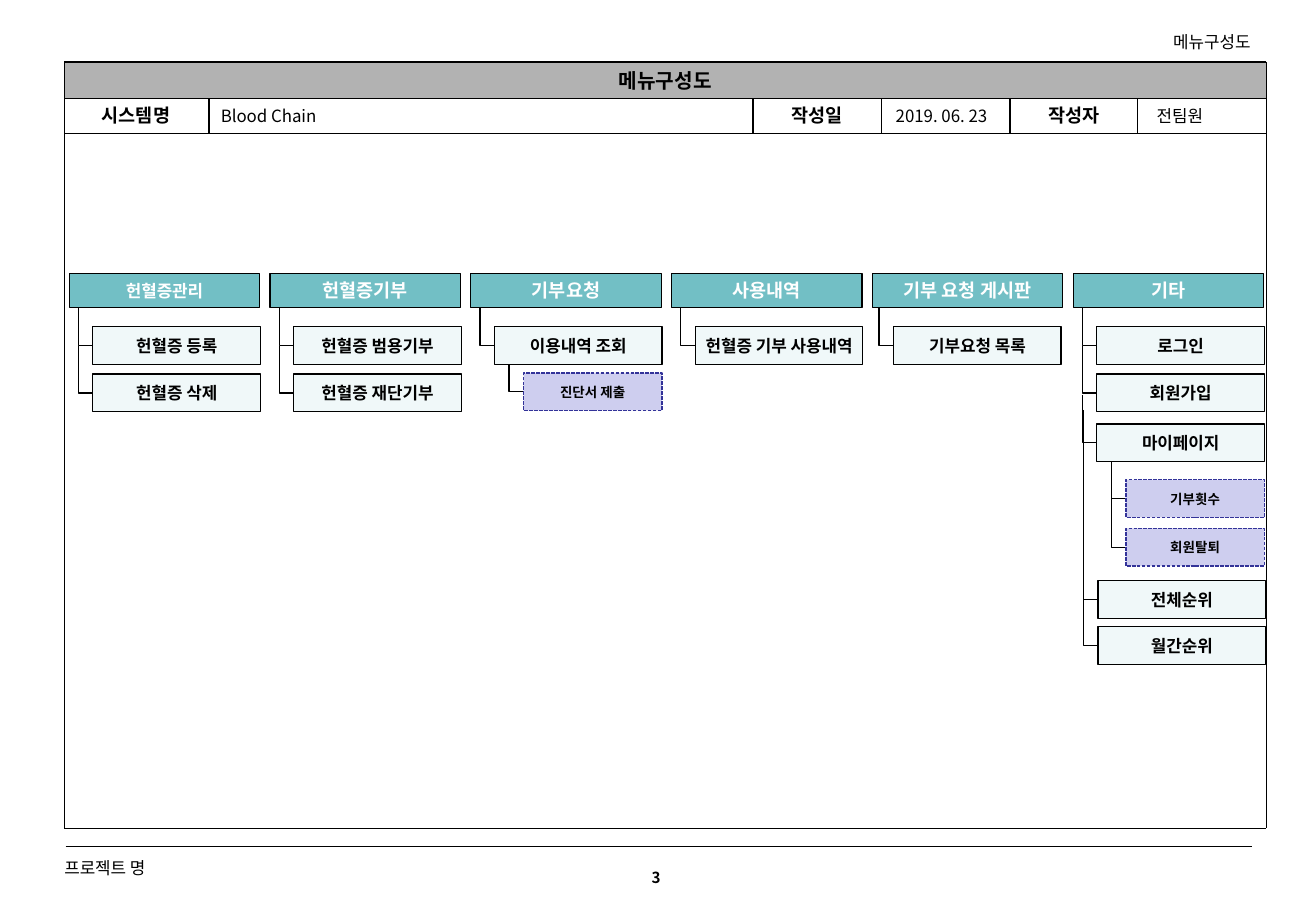
import dataclasses

import pptx
import pptx.dml.color
import pptx.enum.dml
import pptx.enum.shapes
import pptx.enum.text
import pptx.oxml.ns
import pptx.presentation
import pptx.shapes.autoshape
import pptx.shapes.connector
import pptx.slide
import pptx.util
from lxml import etree

Inches = pptx.util.Inches
RGBColor = pptx.dml.color.RGBColor
Align = pptx.enum.text.PP_ALIGN
Connector = pptx.enum.shapes.MSO_CONNECTOR

FONT = "Noto Sans CJK KR"
BLACK = RGBColor(0x00, 0x00, 0x00)
WHITE = RGBColor(0xFF, 0xFF, 0xFF)
GRAY = RGBColor(0xB2, 0xB2, 0xB2)
TEAL = RGBColor(0x72, 0xBF, 0xC5)
PALE_TEAL = RGBColor(0xF0, 0xF8, 0xF9)
LAVENDER = RGBColor(0xCE, 0xCE, 0xEF)
NAVY = RGBColor(0x33, 0x33, 0x99)

FRAME_LEFT, FRAME_RIGHT = 0.53, 10.43
FRAME_TOP, TITLE_BOTTOM, INFO_BOTTOM, FRAME_BOTTOM = 0.51, 0.81, 1.1, 6.82
COLUMN_LEFT, COLUMN_PITCH = 0.57, 1.654
HEADER_TOP, HEADER_WIDTH, HEADER_HEIGHT = 2.25, 1.57, 0.28
ITEM_INDENT, ITEM_WIDTH = 0.195, 1.38
DETAIL_INDENT, DETAIL_WIDTH = 0.435, 1.14
BOX_HEIGHT, ELBOW_WIDTH = 0.31, 0.12


@dataclasses.dataclass(frozen=True)
class MenuItem:
    text: str
    top: float
    drop: float = 0.39
    detail: bool = False
    shift: float = 0


@dataclasses.dataclass(frozen=True)
class MenuColumn:
    title: str
    items: list[MenuItem]
    title_size: float = 11


@dataclasses.dataclass(frozen=True)
class Label:
    text: str
    left: float
    top: float
    width: float
    height: float
    size: float = 10
    bold: bool = False
    align: Align = Align.LEFT
    inset: float = 0.1


COLUMNS = [
    MenuColumn("헌혈증관리", [MenuItem("헌혈증 등록", 2.69), MenuItem("헌혈증 삭제", 3.08)], 10),
    MenuColumn("헌혈증기부", [MenuItem("헌혈증 범용기부", 2.69), MenuItem("헌혈증 재단기부", 3.08)]),
    MenuColumn("기부요청", [
        MenuItem("진단서 제출", 3.07, drop=0.53, detail=True),
        MenuItem("이용내역 조회", 2.69),
    ]),
    MenuColumn("사용내역", [MenuItem("헌혈증 기부 사용내역", 2.69)]),
    MenuColumn("기부 요청 게시판", [MenuItem("기부요청 목록", 2.69, shift=-0.02)]),
    MenuColumn("기타", [
        MenuItem("기부횟수", 3.95, drop=0.61, detail=True),
        MenuItem("회원탈퇴", 4.35, drop=0.61, detail=True),
        MenuItem("로그인", 2.69),
        MenuItem("회원가입", 3.08),
        MenuItem("마이페이지", 3.49),
        MenuItem("전체순위", 4.78, drop=1.56, shift=0.01),
        MenuItem("월간순위", 5.16, shift=0.01),
    ]),
]

LABELS = [
    Label("시스템명", 0.53, 0.81, 1.18, 0.28, 11, True, Align.CENTER),
    Label("작성일", 6.2, 0.81, 1.06, 0.28, 11, True, Align.CENTER),
    Label("작성자", 8.32, 0.81, 1.06, 0.28, 11, True, Align.CENTER),
    Label("Blood Chain", 1.72, 0.82, 2.09, 0.27),
    Label("2019. 06. 23", 7.28, 0.82, 1.46, 0.27),
    Label("전팀원", 9.43, 0.82, 0.58, 0.27),
    Label("메뉴구성도", 7.11, 0.26, 3.19, 0.17, align=Align.RIGHT, inset=0),
    Label("프로젝트 명", 0.53, 7.06, 3.55, 0.17, inset=0),
    Label("3", 5.13, 7.1, 0.55, 0.25, 9, True, Align.CENTER),
]


def write_text(shape: pptx.shapes.autoshape.Shape, text: str, *, size: float = 10,
               bold: bool = False, color: RGBColor = BLACK, align: Align = Align.CENTER,
               inset: float = 0.1, wrap: bool = False) -> None:
    frame = shape.text_frame
    frame.word_wrap = wrap
    frame.vertical_anchor = pptx.enum.text.MSO_ANCHOR.MIDDLE
    frame.margin_left = frame.margin_right = Inches(inset)
    frame.margin_top = frame.margin_bottom = Inches(0)
    paragraph = frame.paragraphs[0]
    paragraph.alignment = align
    run = paragraph.add_run()
    run.text = text
    run.font.name = FONT
    run.font.size = pptx.util.Pt(size)
    run.font.bold = bold
    run.font.color.rgb = color
    east_asian = etree.SubElement(run.font._element, pptx.oxml.ns.qn("a:ea"))
    east_asian.set("typeface", FONT)


def add_box(slide: pptx.slide.Slide, left: float, top: float, width: float, height: float,
            fill: RGBColor, line: RGBColor | None = BLACK,
            dashed: bool = False) -> pptx.shapes.autoshape.Shape:
    shape = slide.shapes.add_shape(pptx.enum.shapes.MSO_SHAPE.RECTANGLE, Inches(left),
                                   Inches(top), Inches(width), Inches(height))
    shape.shadow.inherit = False
    shape.fill.solid()
    shape.fill.fore_color.rgb = fill
    if line is None:
        shape.line.fill.background()
    else:
        shape.line.color.rgb = line
        shape.line.width = pptx.util.Pt(0.75)
    if dashed:
        shape.line.dash_style = pptx.enum.dml.MSO_LINE.SQUARE_DOT
    return shape


def add_line(slide: pptx.slide.Slide, x1: float, y1: float, x2: float, y2: float,
             width: float = 0.75,
             kind: Connector = Connector.STRAIGHT) -> pptx.shapes.connector.Connector:
    line = slide.shapes.add_connector(kind, Inches(x1), Inches(y1), Inches(x2), Inches(y2))
    line.line.color.rgb = BLACK
    line.line.width = pptx.util.Pt(width)
    etree.SubElement(line._element.spPr, pptx.oxml.ns.qn("a:effectLst"))
    return line


def add_elbow(slide: pptx.slide.Slide, end_x: float, end_y: float, drop: float) -> None:
    center_x, center_y = end_x - ELBOW_WIDTH / 2, end_y - drop / 2
    elbow = add_line(slide, center_x + drop / 2, center_y - ELBOW_WIDTH / 2,
                     center_x - drop / 2, center_y + ELBOW_WIDTH / 2, kind=Connector.ELBOW)
    properties = elbow._element.spPr
    properties.find(pptx.oxml.ns.qn("a:xfrm")).set("rot", str(270 * 60000))
    properties.find(pptx.oxml.ns.qn("a:prstGeom")).set("prst", "bentConnector2")


def add_column(slide: pptx.slide.Slide, column: MenuColumn, left: float) -> None:
    for item in column.items:
        indent = DETAIL_INDENT if item.detail else ITEM_INDENT
        item_left = left + indent + item.shift
        add_elbow(slide, item_left, item.top + BOX_HEIGHT / 2, item.drop)
        if item.detail:
            box = add_box(slide, item_left, item.top, DETAIL_WIDTH, BOX_HEIGHT,
                          LAVENDER, NAVY, dashed=True)
        else:
            box = add_box(slide, item_left, item.top, ITEM_WIDTH, BOX_HEIGHT, PALE_TEAL)
        write_text(box, item.text, size=8 if item.detail else 10, bold=True)
    header = add_box(slide, left, HEADER_TOP, HEADER_WIDTH, HEADER_HEIGHT, TEAL)
    write_text(header, column.title, size=column.title_size, bold=True, color=WHITE)


def add_frame(slide: pptx.slide.Slide) -> None:
    title = add_box(slide, FRAME_LEFT, FRAME_TOP, FRAME_RIGHT - FRAME_LEFT,
                    TITLE_BOTTOM - FRAME_TOP, GRAY, None)
    write_text(title, "메뉴구성도", size=12, bold=True)
    for x, width in ((1.72, 1), (6.2, 1), (7.26, 1), (8.32, 0.75), (9.37, 0.75)):
        add_line(slide, x, TITLE_BOTTOM, x, INFO_BOTTOM, width)
    for y, width in ((FRAME_TOP, 0.75), (TITLE_BOTTOM, 1), (INFO_BOTTOM, 1), (FRAME_BOTTOM, 0.75)):
        add_line(slide, FRAME_LEFT, y, FRAME_RIGHT, y, width)
    for x in (FRAME_LEFT, FRAME_RIGHT):
        add_line(slide, x, FRAME_TOP, x, FRAME_BOTTOM)
    add_line(slide, 0.54, 6.97, 10.31, 6.97)


def add_label(slide: pptx.slide.Slide, label: Label) -> None:
    shape = slide.shapes.add_textbox(Inches(label.left), Inches(label.top),
                                     Inches(label.width), Inches(label.height))
    write_text(shape, label.text, size=label.size, bold=label.bold, align=label.align,
               inset=label.inset, wrap=True)


def main() -> None:
    presentation = pptx.Presentation()
    presentation.slide_width = Inches(10.84)
    presentation.slide_height = Inches(7.5)
    slide = presentation.slides.add_slide(presentation.slide_layouts[6])
    add_frame(slide)
    for label in LABELS:
        add_label(slide, label)
    for index, column in enumerate(COLUMNS):
        add_column(slide, column, COLUMN_LEFT + index * COLUMN_PITCH)
    presentation.save("out.pptx")


if __name__ == "__main__":
    main()
